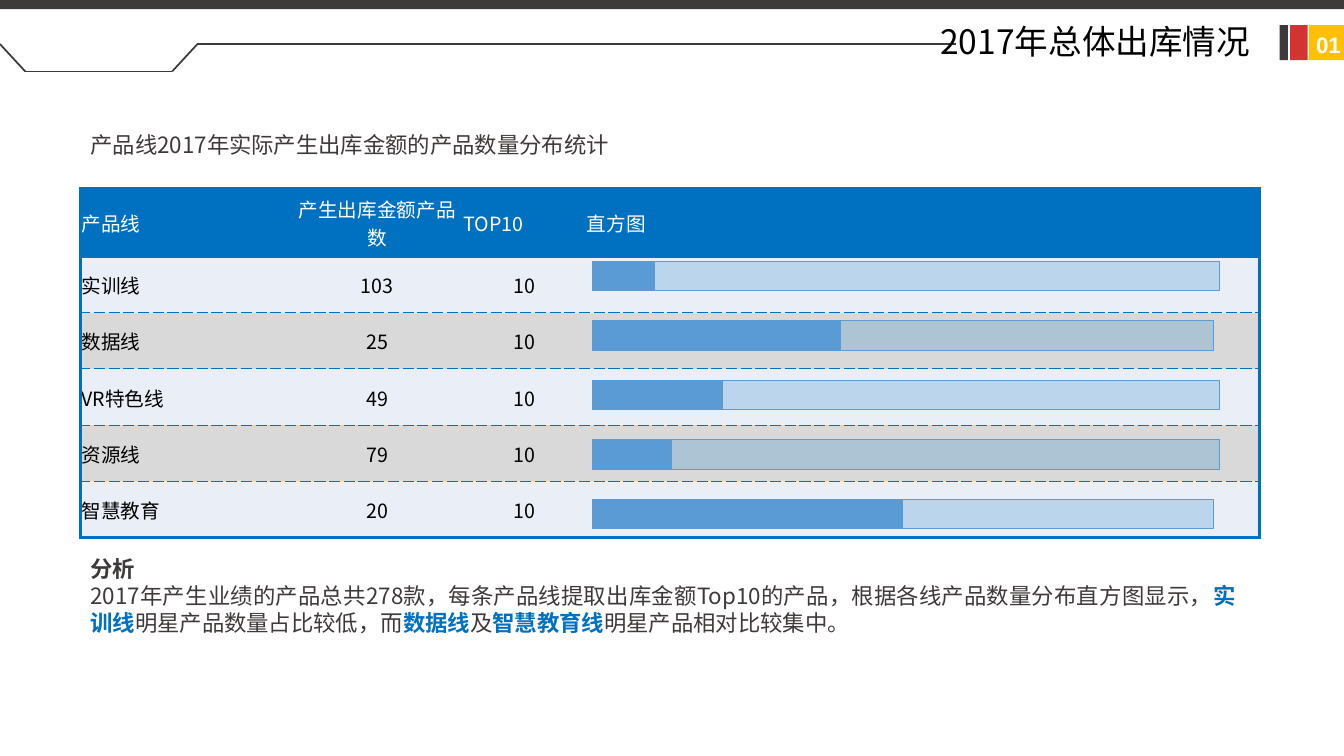
from dataclasses import dataclass

import lxml.etree
import pptx
import pptx.chart.data
import pptx.dml.color
import pptx.enum.chart
import pptx.enum.shapes
import pptx.enum.text
import pptx.oxml
import pptx.oxml.ns
import pptx.util

Pt = pptx.util.Pt
qn = pptx.oxml.ns.qn
ALIGN = pptx.enum.text.PP_ALIGN


@dataclass(frozen=True)
class Theme:
    """Colours, fonts and type sizes of the slide."""
    dark: str = "3E3A39"
    red: str = "D23333"
    yellow: str = "FFC000"
    blue: str = "0070C0"
    bar: str = "5B9BD5"
    white: str = "FFFFFF"
    black: str = "000000"
    row_light: str = "EAEFF7"
    row_grey: str = "D9D9D9"
    font: str = "Noto Sans CJK SC"
    number_font: str = "Arial"
    chart_font: str = "Calibri"
    title_size: int = 24
    body_size: int = 16
    table_size: int = 14
    chart_size: int = 10


T = Theme()

ROWS = [
    ("产品线", "产生出库金额产品数", "TOP10", "直方图"),
    ("实训线", "103", "10", ""),
    ("数据线", "25", "10", ""),
    ("VR特色线", "49", "10", ""),
    ("资源线", "79", "10", ""),
    ("智慧教育", "20", "10", ""),
]
ANALYSIS = [
    ("2017年产生业绩的产品总共278款，每条产品线提取出库金额Top10的产品，"
     "根据各线产品数量分布直方图显示，", False),
    ("实训线", True),
    ("明星产品数量占比较低，而", False),
    ("数据线", True),
    ("及", False),
    ("智慧教育线", True),
    ("明星产品相对比较集中。", False),
]


def rgb(color):
    """Turn a hex string into a colour."""
    return pptx.dml.color.RGBColor.from_string(color)


def style_run(r, size, color, bold=False, font=T.font):
    """Format one run, for Latin and East Asian text alike."""
    r.font.size, r.font.bold, r.font.name = Pt(size), bold, font
    r.font.color.rgb = rgb(color)
    lxml.etree.SubElement(r.font._element, qn("a:ea")).set("typeface", font)


def add_bar(s, left, top, width, height, color):
    """Add a plain filled rectangle."""
    sp = s.shapes.add_shape(pptx.enum.shapes.MSO_SHAPE.RECTANGLE,
                            Pt(left), Pt(top), Pt(width), Pt(height))
    sp.shadow.inherit = False
    sp.fill.solid()
    sp.fill.fore_color.rgb = rgb(color)
    sp.line.fill.background()


def add_polyline(s, points, color, width):
    """Join successive points with straight connectors."""
    for (x1, y1), (x2, y2) in zip(points, points[1:]):
        c = s.shapes.add_connector(pptx.enum.shapes.MSO_CONNECTOR.STRAIGHT,
                                   Pt(x1), Pt(y1), Pt(x2), Pt(y2))
        c.line.color.rgb = rgb(color)
        c.line.width = Pt(width)
        lxml.etree.SubElement(c._element.spPr, qn("a:effectLst"))


def add_text(s, box, paragraphs, size, align, spacing=1.0, font=T.font, wrap=True):
    """Add a text box; each paragraph is a list of (text, colour, bold)."""
    tf = s.shapes.add_textbox(*map(Pt, box)).text_frame
    tf.word_wrap = wrap
    for i, runs in enumerate(paragraphs):
        p = tf.add_paragraph() if i else tf.paragraphs[0]
        p.alignment, p.line_spacing = align, spacing
        for text, color, bold in runs:
            r = p.add_run()
            r.text = text
            style_run(r, size, color, bold, font)
    return tf


def set_border(cell, side, width, dash="solid"):
    """Draw one side of a cell, or clear it when the width is zero."""
    ln = lxml.etree.SubElement(cell._tc.get_or_add_tcPr(), qn("a:ln" + side))
    ln.set("w", str(int(Pt(width))))
    if not width:
        lxml.etree.SubElement(ln, qn("a:noFill"))
        return
    fill = lxml.etree.SubElement(ln, qn("a:solidFill"))
    lxml.etree.SubElement(fill, qn("a:srgbClr")).set("val", T.blue)
    lxml.etree.SubElement(ln, qn("a:prstDash")).set("val", dash)


def add_product_table(s, left, top, widths, heights):
    """Add the product line table with dashed rules and a heavy frame."""
    table = s.shapes.add_table(len(heights), len(widths), Pt(left), Pt(top),
                               Pt(sum(widths)), Pt(sum(heights))).table
    for column, width in zip(table.columns, widths):
        column.width = Pt(width)
    for row, height in zip(table.rows, heights):
        row.height = Pt(height)
    last_row, last_col = len(heights) - 1, len(widths) - 1
    heavy, dashed = (2.25, "solid"), (1, "sysDash")
    for i, texts in enumerate(ROWS):
        for j, text in enumerate(texts):
            cell = table.cell(i, j)
            set_border(cell, "L", 0 if j else 2.25)
            set_border(cell, "R", 2.25 if j == last_col else 0)
            set_border(cell, "T", *(heavy if i < 2 else dashed))
            set_border(cell, "B", *(heavy if i in (0, last_row) else dashed))
            cell.fill.solid()
            band = T.row_light if i % 2 else T.row_grey
            cell.fill.fore_color.rgb = rgb(band if i else T.blue)
            cell.vertical_anchor = pptx.enum.text.MSO_ANCHOR.MIDDLE
            cell.margin_left = cell.margin_right = cell.margin_top = Pt(0.75)
            cell.margin_bottom = 0
            if text:
                p = cell.text_frame.paragraphs[0]
                p.text = text
                centred = j == 1 or (i and j == 2)
                p.alignment = ALIGN.CENTER if centred else ALIGN.LEFT
                style_run(p.runs[0], T.table_size, T.black if i else T.white)


def set_plot_layout(chart, **fractions):
    """Fix the inner plot area as fractions of the chart frame."""
    plot_area = chart._chartSpace.chart.plotArea
    for old in plot_area.findall(qn("c:layout")):
        plot_area.remove(old)
    layout = lxml.etree.Element(qn("c:layout"))
    manual = lxml.etree.SubElement(layout, qn("c:manualLayout"))
    settings = {"layoutTarget": "inner", "xMode": "edge", "yMode": "edge", **fractions}
    for name, value in settings.items():
        lxml.etree.SubElement(manual, qn("c:" + name)).set("val", str(value))
    plot_area.insert(0, layout)


def add_share_chart(s, left, top, width, height):
    """Add the stacked bars that show the TOP10 share of each line."""
    data = pptx.chart.data.CategoryChartData()
    data.categories = ["1", "2", "3", "4", "5"]
    data.add_series("Series 1", (11, 44, 23, 14, 55))
    data.add_series("Series 2", (100, 66, 88, 97, 55))
    chart = s.shapes.add_chart(pptx.enum.chart.XL_CHART_TYPE.BAR_STACKED, Pt(left),
                               Pt(top), Pt(width), Pt(height), data).chart
    chart.has_legend = chart.has_title = False
    chart.font.size, chart.font.name = Pt(T.chart_size), T.chart_font
    chart.font.color.rgb = rgb(T.black)
    chart.category_axis.reverse_order = True
    chart.value_axis.has_major_gridlines = False
    chart.value_axis.minimum_scale, chart.value_axis.maximum_scale = 0, 120
    chart.category_axis.visible = chart.value_axis.visible = False
    plot = chart.plots[0]
    plot.gap_width, plot.overlap, plot.vary_by_categories = 100, 100, False
    for series, color in zip(plot.series, (T.bar, T.blue)):
        series.format.fill.solid()
        series.format.fill.fore_color.rgb = rgb(color)
        series.format.line.color.rgb = rgb(T.bar)
        series.format.line.width = Pt(0.75)
    clr = plot.series[1]._element.spPr.find(qn("a:solidFill"))[0]
    lxml.etree.SubElement(clr, qn("a:alpha")).set("val", "20000")
    set_plot_layout(chart, x=0.02, y=0.02, w=0.87, h=0.96)
    sp_pr = lxml.etree.Element(qn("c:spPr"))
    lxml.etree.SubElement(sp_pr, qn("a:noFill"))
    chart._chartSpace.chart.addnext(sp_pr)


def main():
    """Build the slide and save it."""
    prs = pptx.Presentation()
    prs.slide_width, prs.slide_height = Pt(960), Pt(540)
    s = prs.slides.add_slide(prs.slide_layouts[6])
    add_bar(s, 0, 0, 960, 6.5, T.dark)
    for left, width, color in ((935, 25, T.yellow), (921.5, 12.5, T.red), (914, 6, T.dark)):
        add_bar(s, left, 18, width, 25, color)
    add_polyline(s, [(0, 31.5), (18, 51), (123, 51), (141, 31.5), (683, 31.5)], T.dark, 1.25)
    tf = add_text(s, (655, 18, 245, 36), [[("2017年总体出库情况", T.black, False)]],
                  T.title_size, ALIGN.RIGHT, 0.9)
    tf.margin_top = 0
    add_text(s, (933, 18.5, 36, 26.5), [[("01", T.white, True)]], T.body_size,
             ALIGN.LEFT, font=T.number_font, wrap=False)
    add_text(s, (57.5, 90, 832, 29),
             [[("产品线2017年实际产生出库金额的产品数量分布统计", T.dark, False)]],
             T.body_size, ALIGN.JUSTIFY)
    analysis = [(text, T.blue if key else T.dark, key) for text, key in ANALYSIS]
    add_text(s, (57.5, 393, 832, 75), [[("分析", T.dark, True)], analysis],
             T.body_size, ALIGN.JUSTIFY)
    add_product_table(s, 57.5, 134.75, (151, 122, 88, 481), [48.25] + [40.25] * 5)
    add_share_chart(s, 412, 171.5, 556.5, 221.5)
    prs.save("out.pptx")


if __name__ == "__main__":
    main()
